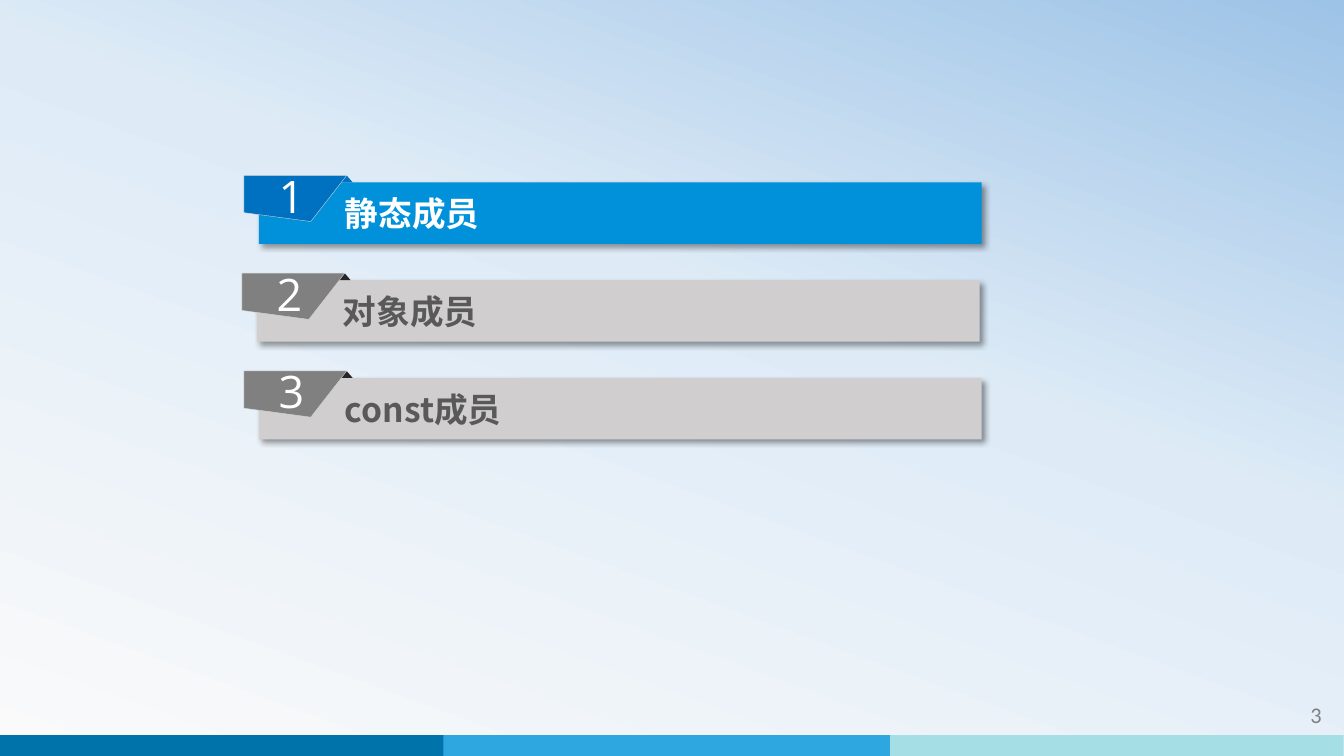
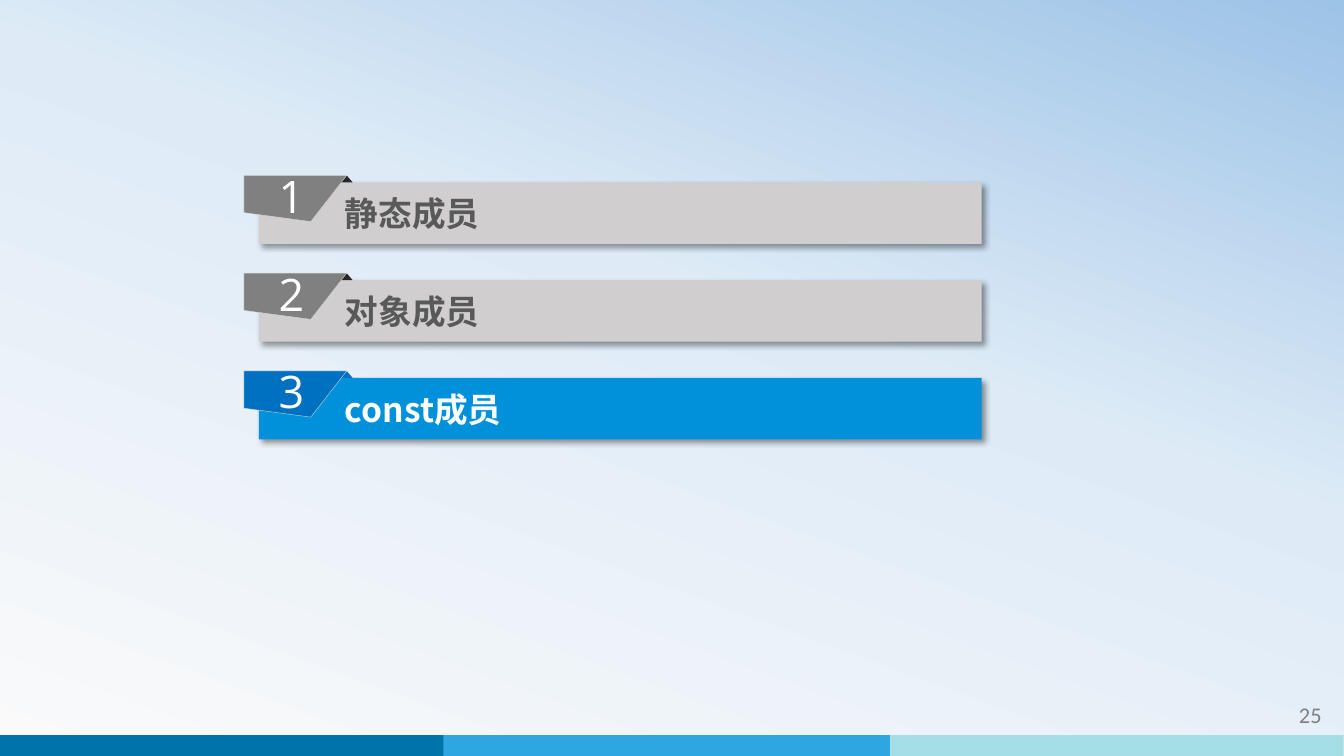
import pptx
import pptx.util
import pptx.dml.color
import pptx.enum.shapes
import pptx.enum.text
import pptx.oxml.ns
import copy
import lxml.etree

Pt = pptx.util.Pt
Shape = pptx.enum.shapes.MSO_SHAPE
Align = pptx.enum.text.PP_ALIGN
Anchor = pptx.enum.text.MSO_ANCHOR
qn = pptx.oxml.ns.qn

TOPICS = ["静态成员", "对象成员", "const成员"]
SLIDES = [
    {"page": "3", "active": 0, "shifts": [0, -1.44, 0]},
    {"page": "25", "active": 2, "shifts": [0, 0, 0]},
]


class Theme:
    sky = [(0, "FAFAFA"), (0.58, "DEEBF7"), (1, "9DC3E6")]
    bands = ["0073AB", "2EA7E0", "A5DEE4"]
    on = {"bar": "0091DA", "text": "FFFFFF", "tab": "0070C0", "fold": "0070C0"}
    off = {"bar": "D0CECE", "text": "595959", "tab": "808080", "fold": "262626"}
    white, edge, page, shade = "FFFFFF", "D9D9D9", "808080", "000000"
    title = ("Noto Sans CJK SC", 24)
    digit = ("Open Sans", 32)
    foot = ("Calibri", 16)


WIDTH, HEIGHT = 960, 540
BAND_X, BAND_Y, BAND_W, BAND_STEP = -2.2, 525, 324, 319
ROW_X, ROW_Y, ROW_STEP = 174.2, 125.3, 69.84
TAB = [(0, 0), (73.5, 0), (47.8, 33), (0, 26.6)]


def rgb(code):
    return pptx.dml.color.RGBColor.from_string(code)


def paint(shape, color, edge=None):
    shape.fill.solid()
    shape.fill.fore_color.rgb = rgb(color)
    if edge:
        shape.line.color.rgb = rgb(edge)
        shape.line.width = Pt(0.25)
    else:
        shape.line.fill.background()
    shape.shadow.inherit = False


def block(shapes, kind, box, color):
    shape = shapes.add_shape(kind, *map(Pt, box))
    paint(shape, color)
    return shape


def write(shape, text, style, color, align, bold=False):
    frame = shape.text_frame
    frame.word_wrap = True
    frame.text = text
    para = frame.paragraphs[0]
    para.alignment = align
    run = para.runs[0]
    name, size = style
    run.font.name, run.font.size, run.font.bold = name, Pt(size), bold
    run.font.color.rgb = rgb(color)
    props = run.font._element
    lxml.etree.SubElement(props, qn("a:ea")).set("typeface", name)
    return frame


def cast(shape):
    effects = shape._element.spPr.find(qn("a:effectLst"))
    shadow = lxml.etree.SubElement(
        effects, qn("a:outerShdw"), blurRad=str(Pt(4)), dist=str(Pt(3)),
        dir="2700000", algn="tl", rotWithShape="0")
    color = lxml.etree.SubElement(shadow, qn("a:srgbClr"), val=Theme.shade)
    lxml.etree.SubElement(color, qn("a:alpha"), val="40000")


def set_sky(master):
    fill = master.background.fill
    fill.gradient()
    fill.gradient_angle = 70
    stops = next(master.element.iter(qn("a:gsLst")))
    stops.append(copy.deepcopy(stops[0]))
    for stop, (place, color) in zip(fill.gradient_stops, Theme.sky):
        stop.position = place
        stop.color.rgb = rgb(color)


def set_bands(layout, slide):
    for holder in list(layout.placeholders):
        layout.shapes.element.remove(holder.element)
    for i, color in enumerate(Theme.bands):
        box = (BAND_X + i * BAND_STEP, BAND_Y, BAND_W, HEIGHT - BAND_Y)
        band = block(slide.shapes, Shape.RECTANGLE, box, color)
        layout.shapes.element.append(band.element)


def add_row(slide, left, top, number, topic, look):
    shapes = slide.shapes.add_group_shape().shapes
    bar = block(shapes, Shape.RECTANGLE, (left + 10.8, top + 5, 516.2, 44), look["bar"])
    cast(bar)
    frame = write(bar, topic, Theme.title, look["text"], Align.LEFT, True)
    frame.vertical_anchor = Anchor.MIDDLE
    frame.margin_left = Pt(61.4)

    block(shapes, Shape.ISOSCELES_TRIANGLE, (left + 69.1, top, 8.6, 5), look["fold"])

    points = [(Pt(left + x), Pt(top + y)) for x, y in TAB]
    path = shapes.build_freeform(*points[0])
    path.add_line_segments(points[1:], close=True)
    tab = path.convert_to_shape()
    paint(tab, look["tab"], Theme.edge)
    frame = write(tab, number, Theme.digit, Theme.white, Align.CENTER)
    frame.vertical_anchor = Anchor.MIDDLE
    frame.margin_left, frame.margin_top = Pt(6.5), Pt(2.9)
    frame.margin_right, frame.margin_bottom = Pt(12.2), Pt(7.2)


def fill_slide(slide, data):
    page = slide.shapes.add_textbox(Pt(836.6), Pt(497.5), Pt(114.5), Pt(28.8))
    write(page, data["page"], Theme.foot, Theme.page, Align.RIGHT)
    for i, (topic, shift) in enumerate(zip(TOPICS, data["shifts"])):
        look = Theme.on if i == data["active"] else Theme.off
        add_row(slide, ROW_X + shift, ROW_Y + i * ROW_STEP, str(i + 1), topic, look)


def main():
    deck = pptx.Presentation()
    deck.slide_width, deck.slide_height = Pt(WIDTH), Pt(HEIGHT)
    layout = deck.slide_layouts[6]
    set_sky(deck.slide_master)
    slides = [deck.slides.add_slide(layout) for data in SLIDES]
    set_bands(layout, slides[0])
    for slide, data in zip(slides, SLIDES):
        fill_slide(slide, data)
    deck.save("out.pptx")


if __name__ == "__main__":
    main()
